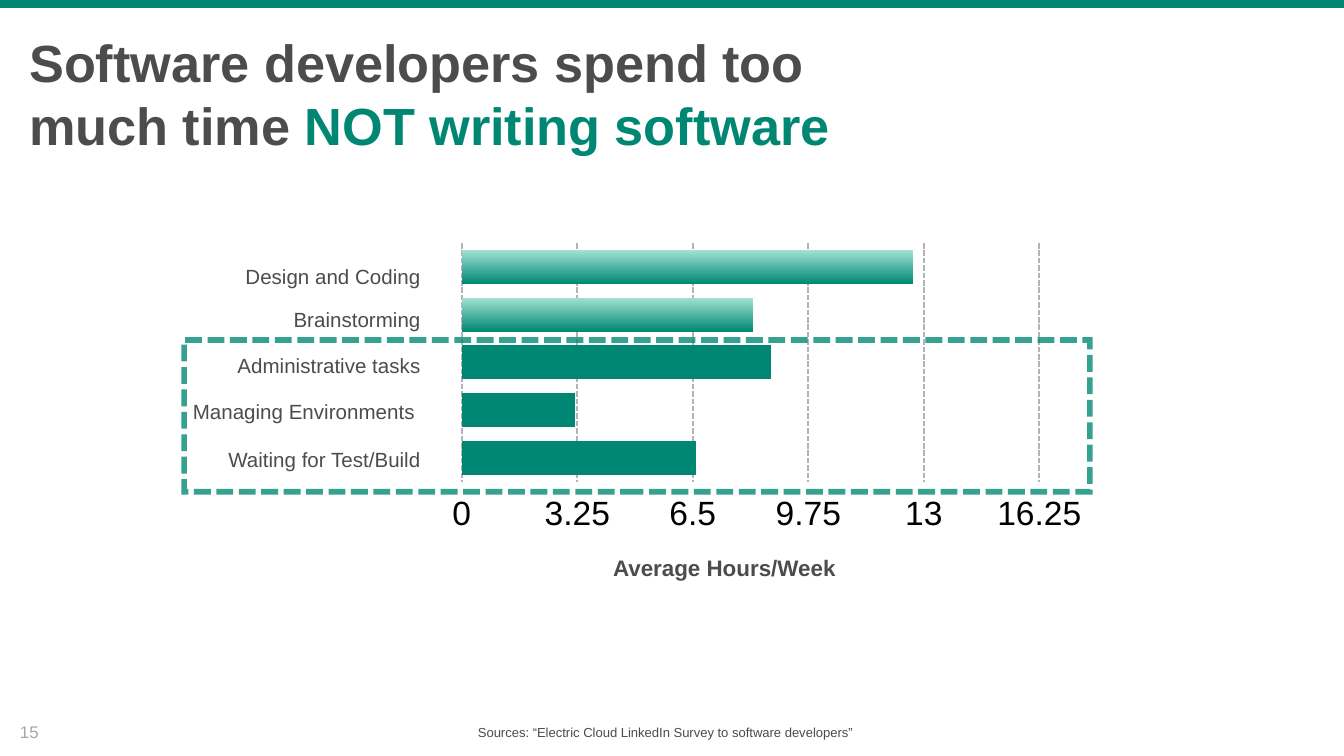
from lxml import etree
from pptx import Presentation
from pptx import util as u
from pptx.chart import data as cd
from pptx.dml import color as dc
from pptx.enum import chart as ec, dml, shapes, text
from pptx.oxml import ns

GREEN, MINT, GRAY = "008774", "A3E3D3", "4C4C4C"
LEFT, MID, RIGHT = text.PP_ALIGN.LEFT, text.PP_ALIGN.CENTER, text.PP_ALIGN.RIGHT
TOP, CENTER = text.MSO_ANCHOR.TOP, text.MSO_ANCHOR.MIDDLE


def rgb(code):
    return dc.RGBColor.from_string(code)


def style(font, size, code, bold=False):
    font.name = "Arial"
    font.size = u.Pt(size)
    font.bold = bold
    font.color.rgb = rgb(code)


def add_text(slide, box, parts, size, align=LEFT, bold=False, pad=0.06, wrap=True, anchor=CENTER):
    frame = slide.shapes.add_textbox(*map(u.Inches, box)).text_frame
    frame.word_wrap = wrap
    frame.vertical_anchor = anchor
    frame.margin_left = frame.margin_right = u.Inches(pad)
    frame.margin_top = frame.margin_bottom = u.Inches(min(pad, 0.05))
    para = frame.paragraphs[0]
    para.alignment = align
    for words, code in parts:
        run = para.add_run()
        run.text = words
        style(run.font, size, code, bold)
    return para


def add_rect(slide, box):
    rect = slide.shapes.add_shape(shapes.MSO_SHAPE.RECTANGLE, *map(u.Inches, box))
    rect.shadow.inherit = False
    return rect


def dash(line, width, code):
    line.width = u.Pt(width)
    line.color.rgb = rgb(code)
    line.dash_style = dml.MSO_LINE.DASH
    line._ln.find(ns.qn("a:prstDash")).set("val", "sysDash")


def add_band(slide):
    band = add_rect(slide, (0, 0, 10, 0.06))
    band.fill.solid()
    band.fill.fore_color.rgb = rgb(GREEN)
    band.line.fill.background()


def add_frame(slide):
    frame = add_rect(slide, (1.37, 2.53, 6.74, 1.13))
    frame.fill.background()
    dash(frame.line, 3, GREEN)
    ln = frame.line._ln
    etree.SubElement(ln, ns.qn("a:miter")).set("lim", "800000")
    tint = ln.find(".//" + ns.qn("a:srgbClr"))
    etree.SubElement(tint, ns.qn("a:alpha")).set("val", "78000")


def place_plot(chart, x, y, w, h):
    area = chart._chartSpace.chart.plotArea
    for old in area.findall(ns.qn("c:layout")):
        area.remove(old)
    layout = etree.Element(ns.qn("c:layout"))
    area.insert(0, layout)
    manual = etree.SubElement(layout, ns.qn("c:manualLayout"))
    for tag, val in (("layoutTarget", "inner"), ("xMode", "edge"), ("yMode", "edge"),
                     ("x", x), ("y", y), ("w", w), ("h", h)):
        etree.SubElement(manual, ns.qn("c:" + tag)).set("val", str(val))


def paint_bars(series):
    series.format.fill.solid()
    series.format.fill.fore_color.rgb = rgb("00AE9E")
    for i in range(5):
        fill = series.points[i].format.fill
        if i < 2:
            fill.gradient()
            fill.gradient_angle = 270
            for stop, code in zip(fill.gradient_stops, (MINT, GREEN)):
                stop.color.rgb = rgb(code)
        else:
            fill.solid()
            fill.fore_color.rgb = rgb(GREEN)


def add_bars(slide):
    data = cd.CategoryChartData()
    data.categories = ["1", "2", "3", "4", "5"]
    data.add_series("Series 1", (12.7, 8.2, 8.7, 3.2, 6.6))
    box = map(u.Inches, (1.72, 1.59, 7.8, 3.36))
    chart = slide.shapes.add_chart(ec.XL_CHART_TYPE.BAR_CLUSTERED, *box, data).chart
    chart.has_legend = chart.has_title = False
    style(chart.font, 10, "000000")
    place_plot(chart, 0.22, 0.065, 0.551, 0.529)

    cats = chart.category_axis
    cats.reverse_order = True
    cats.visible = False

    vals = chart.value_axis
    vals.minimum_scale, vals.maximum_scale, vals.major_unit = 0, 16.25, 3.25
    vals.major_tick_mark = ec.XL_TICK_MARK.NONE
    vals.tick_label_position = ec.XL_TICK_LABEL_POSITION.HIGH
    vals.tick_labels.number_format = "General"
    vals.tick_labels.number_format_is_linked = False
    style(vals.tick_labels.font, 18, "000000")
    vals.format.line.fill.background()
    dash(vals.major_gridlines.format.line, 1, "B3B3B3")

    plot = chart.plots[0]
    plot.gap_width, plot.overlap = 40, -10
    plot.vary_by_categories = False
    paint_bars(plot.series[0])


def main():
    deck = Presentation()
    deck.slide_width = u.Inches(10)
    deck.slide_height = deck.slide_width * 9 // 16
    slide = deck.slides.add_slide(deck.slide_layouts[6])
    add_band(slide)
    add_bars(slide)
    source = "Sources: “Electric Cloud LinkedIn Survey to software developers”"
    add_text(slide, (3.49, 5.37, 2.92, 0.16), [(source, GRAY)], 7, MID, pad=0.02, wrap=False)
    for top, label in ((1.91, "Design and Coding"), (2.23, "Brainstorming"),
                       (2.57, "Administrative tasks"), (2.91, "Managing Environments "),
                       (3.27, "Waiting for Test/Build")):
        add_text(slide, (1.08, top, 2.11, 0.3), [(label, GRAY)], 11, RIGHT)
    add_text(slide, (3.8, 4.07, 3.18, 0.31), [("Average Hours/Week", GRAY)], 12, MID, True)
    title = [("Software developers spend too much time ", GRAY), ("NOT writing software", GREEN)]
    head = add_text(slide, (0.12, 0.16, 7.04, 1.07), title, 28, bold=True, pad=0.1)
    head.space_after = u.Pt(3)
    add_text(slide, (0.05, 5.32, 0.41, 0.3), [("15", "A6A6A6")], 9, pad=0.1, anchor=TOP)
    add_frame(slide)
    deck.save("out.pptx")


if __name__ == "__main__":
    main()
